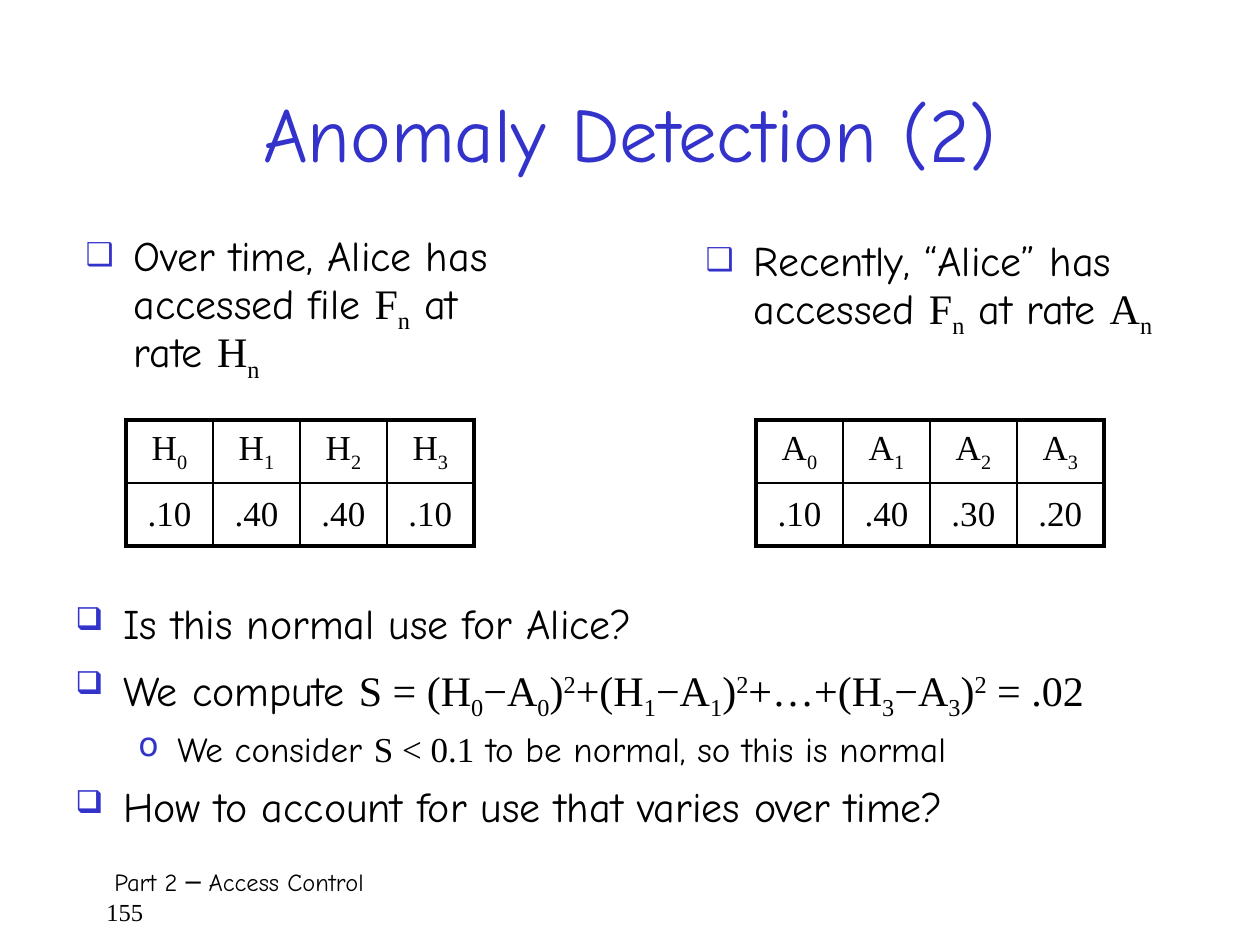
from lxml.etree import SubElement
from pptx import Presentation
from pptx.dml.color import RGBColor
from pptx.enum.text import MSO_ANCHOR, MSO_AUTO_SIZE, PP_ALIGN
from pptx.oxml.ns import qn
from pptx.util import Emu, Pt

SCALE = 914400 / 126
BLACK = RGBColor(0x00, 0x00, 0x00)
BLUE = RGBColor(0x33, 0x33, 0xCC)
HAND = "Comic Neue"
SERIF = "Times New Roman"
SCRIPTS = {"_": -25000, "^": 30000}
# Per list level: size, bullet, bullet percent, left margin, hanging indent, space before
LEVELS = [(24, "❑", 75, 48, 48, 5), (20, "o", 95, 102, 39, 4)]


def px(length):
    return Emu(round(length * SCALE))


def place(shape, box):
    shape.left, shape.top, shape.width, shape.height = map(px, box)
    frame = shape.text_frame
    frame.word_wrap = True
    frame.auto_size = MSO_AUTO_SIZE.NONE
    return frame


def style(run, size, font, color=BLACK, baseline=0):
    run.font.size = Pt(size)
    run.font.name = font
    run.font.color.rgb = color
    if baseline:
        run.font._element.set("baseline", str(baseline))


def split_scripts(math):
    """Yield (text, baseline); _ lowers and ^ raises the next character."""
    plain, chars = "", iter(math)
    for char in chars:
        if char in SCRIPTS:
            yield plain, 0
            yield next(chars), SCRIPTS[char]
            plain = ""
        else:
            plain += char
    yield plain, 0


def write_mixed(paragraph, text, size):
    """Write hand lettering, with serif formulas between $ signs."""
    for index, part in enumerate(text.split("$")):
        is_math = index % 2 == 1
        pieces = split_scripts(part) if is_math else [(part, 0)]
        for piece, baseline in pieces:
            if piece:
                run = paragraph.add_run()
                run.text = piece
                style(run, size, SERIF if is_math else HAND, baseline=baseline)


def add_bullet(paragraph, char, percent, margin, hanging):
    props = paragraph._p.get_or_add_pPr()
    props.set("marL", str(px(margin)))
    props.set("indent", str(-px(hanging)))
    color = SubElement(props, qn("a:buClr"))
    SubElement(color, qn("a:srgbClr"), val=str(BLUE))
    SubElement(props, qn("a:buSzPct"), val=str(percent * 1000))
    SubElement(props, qn("a:buChar"), char=char)


def fill_title(title, box):
    frame = place(title, box)
    frame.text = "Anomaly Detection (2)"
    frame.vertical_anchor = MSO_ANCHOR.MIDDLE
    frame.paragraphs[0].alignment = PP_ALIGN.CENTER
    style(frame.paragraphs[0].runs[0], 44, HAND, BLUE)


def fill_list(shape, box, items, space_after=0):
    frame = place(shape, box)
    frame.vertical_anchor = MSO_ANCHOR.TOP
    for index, (level, text) in enumerate(items):
        size, char, percent, margin, hanging, before = LEVELS[level]
        paragraph = frame.add_paragraph() if index else frame.paragraphs[0]
        paragraph.level = level
        add_bullet(paragraph, char, percent, margin, hanging)
        paragraph.line_spacing = 0.85
        paragraph.space_before = Pt(before if index else 0)
        paragraph.space_after = Pt(space_after)
        write_mixed(paragraph, text, size)


def set_borders(cell, widths):
    props = cell._tc.get_or_add_tcPr()
    for side, width in widths.items():
        line = SubElement(props, qn(f"a:ln{side}"), w=str(Pt(width)))
        fill = SubElement(line, qn("a:solidFill"))
        SubElement(fill, qn("a:srgbClr"), val=str(BLACK))


def add_rates(slide, box, symbol, rates):
    rows = [[f"${symbol}_{n}$" for n in range(len(rates))],
            [f"${rate}$" for rate in rates]]
    last_row, last_col = len(rows) - 1, len(rates) - 1
    table = slide.shapes.add_table(len(rows), len(rates), *map(px, box)).table
    table.first_row = table.horz_banding = False
    for r, row in enumerate(rows):
        for c, text in enumerate(row):
            cell = table.cell(r, c)
            cell.vertical_anchor = MSO_ANCHOR.MIDDLE
            # Thick outer frame, thin inner rules
            outer = {"L": c == 0, "R": c == last_col,
                     "T": r == 0, "B": r == last_row}
            set_borders(cell, {side: 2.25 if edge else 1
                               for side, edge in outer.items()})
            cell.fill.background()
            paragraph = cell.text_frame.paragraphs[0]
            paragraph.alignment = PP_ALIGN.CENTER
            write_mixed(paragraph, text, 20)


def add_footer(slide, box):
    frame = place(slide.shapes.add_textbox(*map(px, box)), box)
    frame.text = "Part 2 ─ Access Control\n155"
    part, number = frame.paragraphs
    part._p.get_or_add_pPr().set("marL", str(px(8)))
    style(part.runs[0], 14, HAND)
    style(number.runs[0], 14, SERIF)


def main():
    prs = Presentation()
    prs.slide_width, prs.slide_height = px(1260), px(945)
    slide = prs.slides.add_slide(prs.slide_layouts[3])
    title, past, recent = slide.placeholders

    fill_title(title, (84, 53, 1092, 158))

    # Past and recent access rates
    fill_list(past, (73, 231, 472, 168),
              [(0, "Over time, Alice has accessed file $F_n$ at rate $H_n$")])
    fill_list(recent, (693, 236, 472, 168),
              [(0, "Recently, “Alice” has accessed $F_n$ at rate $A_n$")])
    add_rates(slide, (126, 420, 348, 126), "H", [".10", ".40", ".40", ".10"])
    add_rates(slide, (756, 420, 348, 126), "A", [".10", ".40", ".30", ".20"])

    # Comparison of the two
    comparison_box = (63, 599, 1166, 252)
    comparison = slide.shapes.add_textbox(*map(px, comparison_box))
    fill_list(comparison, comparison_box, [
        (0, "Is this normal use for Alice?"),
        (0, "We compute $S = (H_0−A_0)^2+(H_1−A_1)^2+…+(H_3−A_3)^2 = .02$"),
        (1, "We consider $S < 0.1$ to be normal, so this is normal"),
        (0, "How to account for use that varies over time?"),
    ], space_after=6)

    add_footer(slide, (94, 861, 1081, 63))
    prs.save("out.pptx")


if __name__ == "__main__":
    main()
